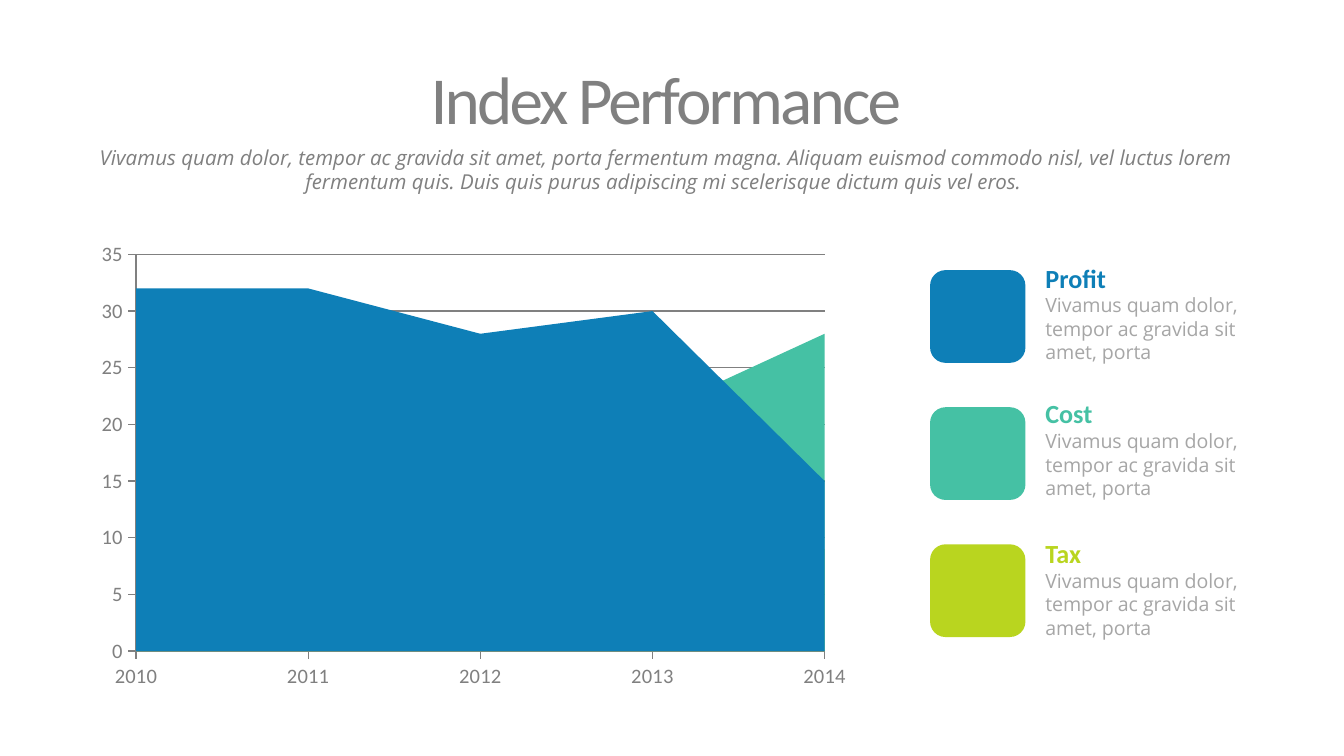
"""Build the Index Performance slide with an area chart and its legend."""
from pptx import Presentation
from pptx.chart.data import CategoryChartData
from pptx.dml.color import RGBColor
from pptx.enum.chart import XL_CHART_TYPE as Kind, XL_TICK_MARK as Tick
from pptx.enum.shapes import MSO_SHAPE as Shape
from pptx.enum.text import MSO_ANCHOR as Anchor, PP_ALIGN as Align
from pptx.util import Inches, Pt


def paint(part, color):
    if hasattr(part, "solid"):
        part.solid()
        part = part.fore_color
    else:
        part = part.color
    part.rgb = RGBColor.from_string(color)


def write(para, text, size, face, color, bold=False, italic=False):
    para.add_run().text = text
    font = para.font
    font.size, font.name = Pt(size), face
    font.bold, font.italic = bold, italic
    paint(font, color)


GRAY, PALE = "808080", "A6A6A6"
BLURB = "Vivamus quam dolor, tempor ac gravida sit amet, porta"
INTRO = (
    "Vivamus quam dolor, tempor ac gravida sit amet, porta fermentum magna. "
    "Aliquam euismod commodo nisl, vel luctus lorem fermentum quis. "
    "Duis quis purus adipiscing mi scelerisque dictum quis vel eros. "
)
ITEMS = [
    ("Profit", "0E7FB7", 1.9, (32, 32, 28, 30, 15)),
    ("Cost", "45C1A4", 2.91, (19, 25, 23, 21, 28)),
    ("Tax", "B9D51F", 3.95, (15, 16, 11, 8, 9)),
]

deck = Presentation()
deck.slide_width = Inches(10)
deck.slide_height = deck.slide_width * 9 // 16
slide = deck.slides.add_slide(deck.slide_layouts[6])
shapes = slide.shapes

title = shapes.add_textbox(Inches(3.15), Inches(0.4), Inches(3.61), Inches(0.66))
intro = shapes.add_textbox(Inches(0.67), Inches(1.05), Inches(8.58), Inches(0.42))
for box in (title, intro):
    frame = box.text_frame
    frame.margin_left = frame.margin_right = Inches(0.05)
    frame.margin_top = frame.margin_bottom = Inches(0.03)
    frame.paragraphs[0].alignment = Align.CENTER
head = title.text_frame.paragraphs[0]
write(head, "Index Performance", 36, "Calibri", GRAY)
head.runs[0].font._element.set("spc", "-150")
title.text_frame.word_wrap = False
intro.text_frame.word_wrap = True
intro.text_frame.vertical_anchor = Anchor.MIDDLE
write(intro.text_frame.paragraphs[0], INTRO, 11, "Open Sans", GRAY, italic=True)

data = CategoryChartData()
data.categories = [str(year) for year in range(2010, 2015)]
for num, item in enumerate(ITEMS, 1):
    data.add_series(f"Series {num}", item[3])
chart = shapes.add_chart(
    Kind.AREA, Inches(0.64), Inches(1.73), Inches(5.77), Inches(3.47), data
).chart
chart.has_legend = chart.has_title = False
chart.font.size, chart.font.name = Pt(11), "Calibri"
paint(chart.font, GRAY)
for series, item in zip(chart.plots[0].series, ITEMS):
    paint(series.format.fill, item[1])
years, scale = chart.category_axis, chart.value_axis
years.has_major_gridlines = False
scale.has_major_gridlines = True
scale.minimum_scale, scale.maximum_scale, scale.major_unit = 0, 35, 5
for axis in (years, scale):
    axis.major_tick_mark, axis.minor_tick_mark = Tick.OUTSIDE, Tick.NONE
for line in (years.format.line, scale.format.line, scale.major_gridlines.format.line):
    paint(line, GRAY)
    line.width = Pt(0.75)
for cross in chart._chartSpace.xpath(".//c:valAx/c:crossBetween"):
    cross.set("val", "midCat")

for num, (name, color, top, _) in enumerate(ITEMS):
    box = shapes.add_textbox(Inches(7.68), Inches(top), Inches(1.7), Inches(0.87))
    frame = box.text_frame
    frame.word_wrap = True
    write(frame.paragraphs[0], name, 14, "Calibri", color, bold=True)
    write(frame.add_paragraph(), BLURB, 10.5, "Open Sans", PALE)
    tile = shapes.add_shape(
        Shape.ROUNDED_RECTANGLE,
        Inches(6.92), Inches(2.01 + 1.02 * num), Inches(0.71), Inches(0.69),
    )
    tile.shadow.inherit = False
    paint(tile.fill, color)
    tile.line.fill.background()

deck.save("out.pptx")
